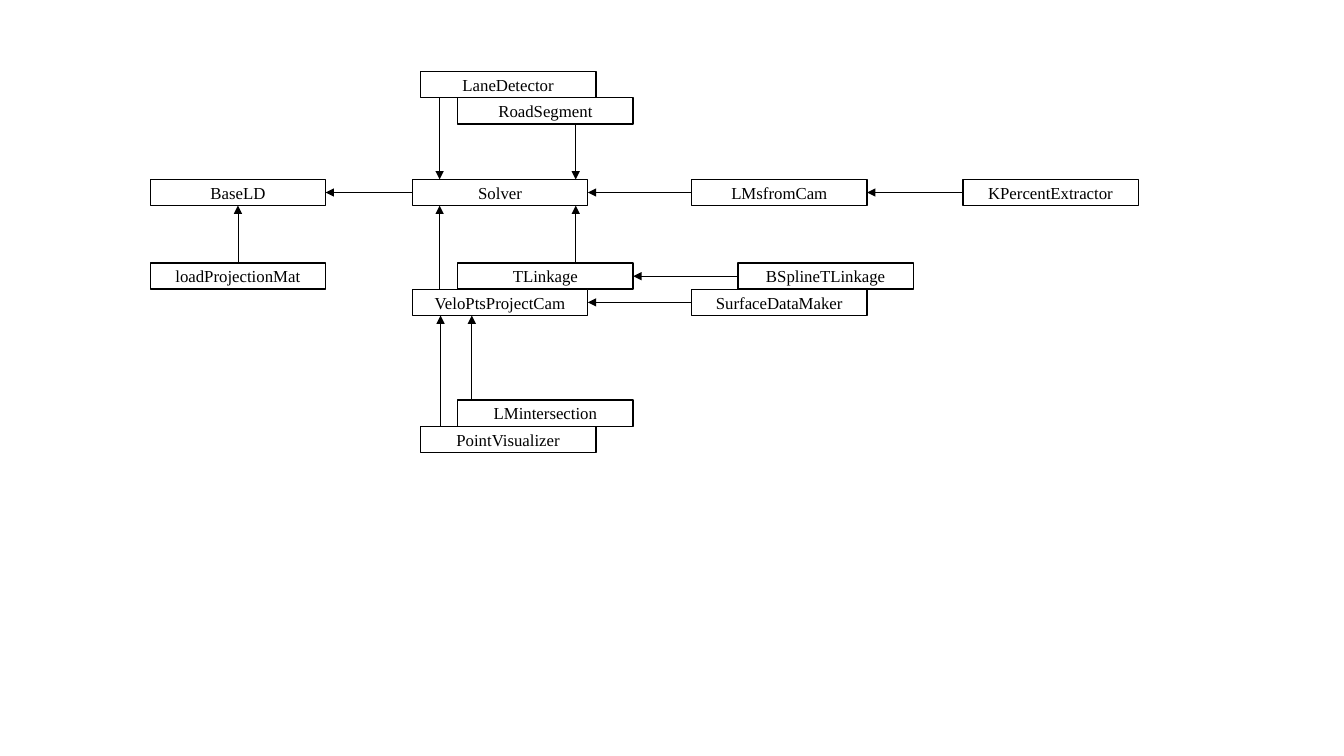
from lxml import etree
from pptx import Presentation
from pptx.dml.color import RGBColor
from pptx.enum.shapes import MSO_CONNECTOR, MSO_SHAPE
from pptx.enum.text import MSO_ANCHOR, PP_ALIGN
from pptx.oxml.ns import qn
from pptx.util import Inches, Pt

RECTANGLE = MSO_SHAPE.RECTANGLE
STRAIGHT = MSO_CONNECTOR.STRAIGHT
CENTER = PP_ALIGN.CENTER
MIDDLE = MSO_ANCHOR.MIDDLE

BLACK = RGBColor(0x00, 0x00, 0x00)
WHITE = RGBColor(0xFF, 0xFF, 0xFF)

BOX_WIDTH, BOX_HEIGHT = 1.74, 0.26
TOP, LEFT, BOTTOM, RIGHT = range(4)  # connection sites of a rectangle

# Left and top of each module box, in inches
MODULES = {
    "LaneDetector": (4.17, 0.71),
    "RoadSegment": (4.54, 0.97),
    "BaseLD": (1.49, 1.78),
    "Solver": (4.09, 1.78),
    "LMsfromCam": (6.86, 1.78),
    "KPercentExtractor": (9.55, 1.78),
    "loadProjectionMat": (1.49, 2.61),
    "TLinkage": (4.54, 2.61),
    "BSplineTLinkage": (7.32, 2.61),
    "VeloPtsProjectCam": (4.09, 2.87),
    "SurfaceDataMaker": (6.86, 2.87),
    "LMintersection": (4.54, 3.97),
    "PointVisualizer": (4.17, 4.23),
}

# Arrows between the middles of two facing sides: start, end, their sites
CENTERED_ARROWS = [
    ("Solver", "BaseLD", LEFT, RIGHT),
    ("LMsfromCam", "Solver", LEFT, RIGHT),
    ("KPercentExtractor", "LMsfromCam", LEFT, RIGHT),
    ("BSplineTLinkage", "TLinkage", LEFT, RIGHT),
    ("SurfaceDataMaker", "VeloPtsProjectCam", LEFT, RIGHT),
    ("loadProjectionMat", "BaseLD", TOP, BOTTOM),
]

# Vertical arrows off the middle: start, end, x in inches
OFFSET_ARROWS = [
    ("LaneDetector", "Solver", 4.36),
    ("RoadSegment", "Solver", 5.71),
    ("VeloPtsProjectCam", "Solver", 4.36),
    ("TLinkage", "Solver", 5.71),
    ("PointVisualizer", "VeloPtsProjectCam", 4.37),
    ("LMintersection", "VeloPtsProjectCam", 4.68),
]


def write_text(frame, text, *, font, size, color, align=CENTER, anchor=MIDDLE):
    """Write one formatted line of text into a text frame."""
    frame.word_wrap = True
    frame.margin_top = frame.margin_bottom = 0
    frame.vertical_anchor = anchor
    paragraph = frame.paragraphs[0]
    paragraph.alignment = align
    run = paragraph.add_run()
    run.text = text
    run.font.name = font
    run.font.size = Pt(size)
    run.font.color.rgb = color


class ModuleDiagram:
    """Draws module boxes and arrows in one style on a slide."""

    font, text_size = "Times New Roman", 12
    box_line, arrow_line = 1, 0.5

    def __init__(self, slide):
        """Keep the slide to draw on."""
        self.slide = slide

    def box(self, name, left, top):
        """Add the box of one module."""
        module = self.slide.shapes.add_shape(
            RECTANGLE, Inches(left), Inches(top),
            Inches(BOX_WIDTH), Inches(BOX_HEIGHT))
        module.shadow.inherit = False
        module.fill.solid()
        module.fill.fore_color.rgb = WHITE
        module.line.color.rgb = BLACK
        module.line.width = Pt(self.box_line)
        write_text(module.text_frame, name, font=self.font,
                   size=self.text_size, color=BLACK)
        return module

    def arrow(self, x1=0, y1=0, x2=0, y2=0):
        """Add a thin arrow with a triangle at its end."""
        link = self.slide.shapes.add_connector(STRAIGHT, x1, y1, x2, y2)
        link.line.color.rgb = BLACK
        link.line.width = Pt(self.arrow_line)
        etree.SubElement(link.line._get_or_add_ln(), qn("a:tailEnd"),
                         type="triangle")
        etree.SubElement(link._element.spPr, qn("a:effectLst"))
        return link

    def centered_arrow(self, start, end, start_site, end_site):
        """Glue an arrow to the middles of two box sides."""
        link = self.arrow()
        link.begin_connect(start, start_site)
        link.end_connect(end, end_site)

    def offset_arrow(self, start, end, x):
        """Add a vertical arrow at x between the facing edges of two boxes."""
        if start.top < end.top:
            y1, y2 = start.top + start.height, end.top
        else:
            y1, y2 = start.top, end.top + end.height
        self.arrow(Inches(x), y1, Inches(x), y2)


def main():
    """Build the slide and save it."""
    deck = Presentation()
    deck.slide_width, deck.slide_height = Inches(13.33), Inches(7.5)
    diagram = ModuleDiagram(deck.slides.add_slide(deck.slide_layouts[6]))

    boxes = {name: diagram.box(name, *corner)
             for name, corner in MODULES.items()}
    for start, end, start_site, end_site in CENTERED_ARROWS:
        diagram.centered_arrow(boxes[start], boxes[end], start_site, end_site)
    for start, end, x in OFFSET_ARROWS:
        diagram.offset_arrow(boxes[start], boxes[end], x)

    deck.save("out.pptx")


main()
